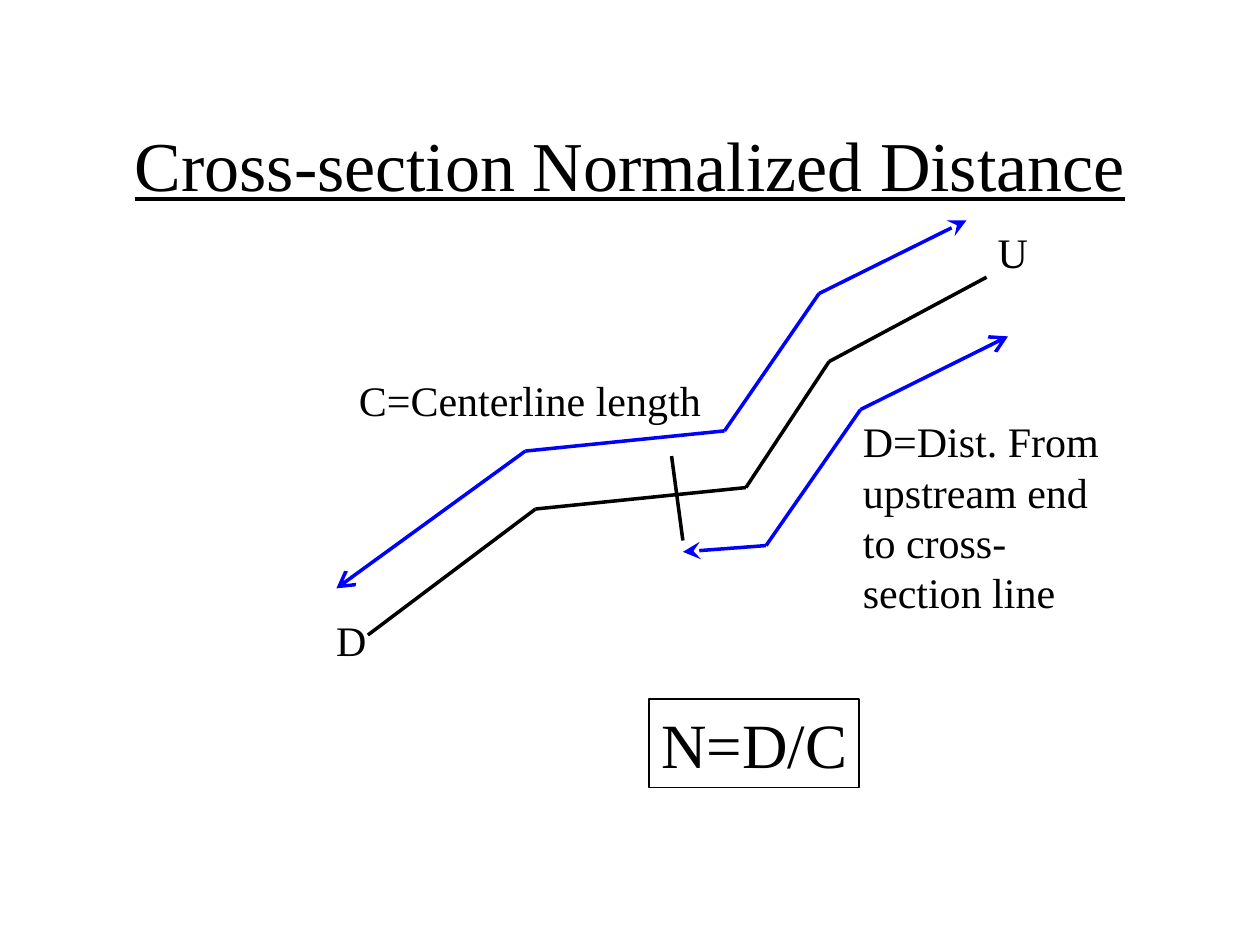
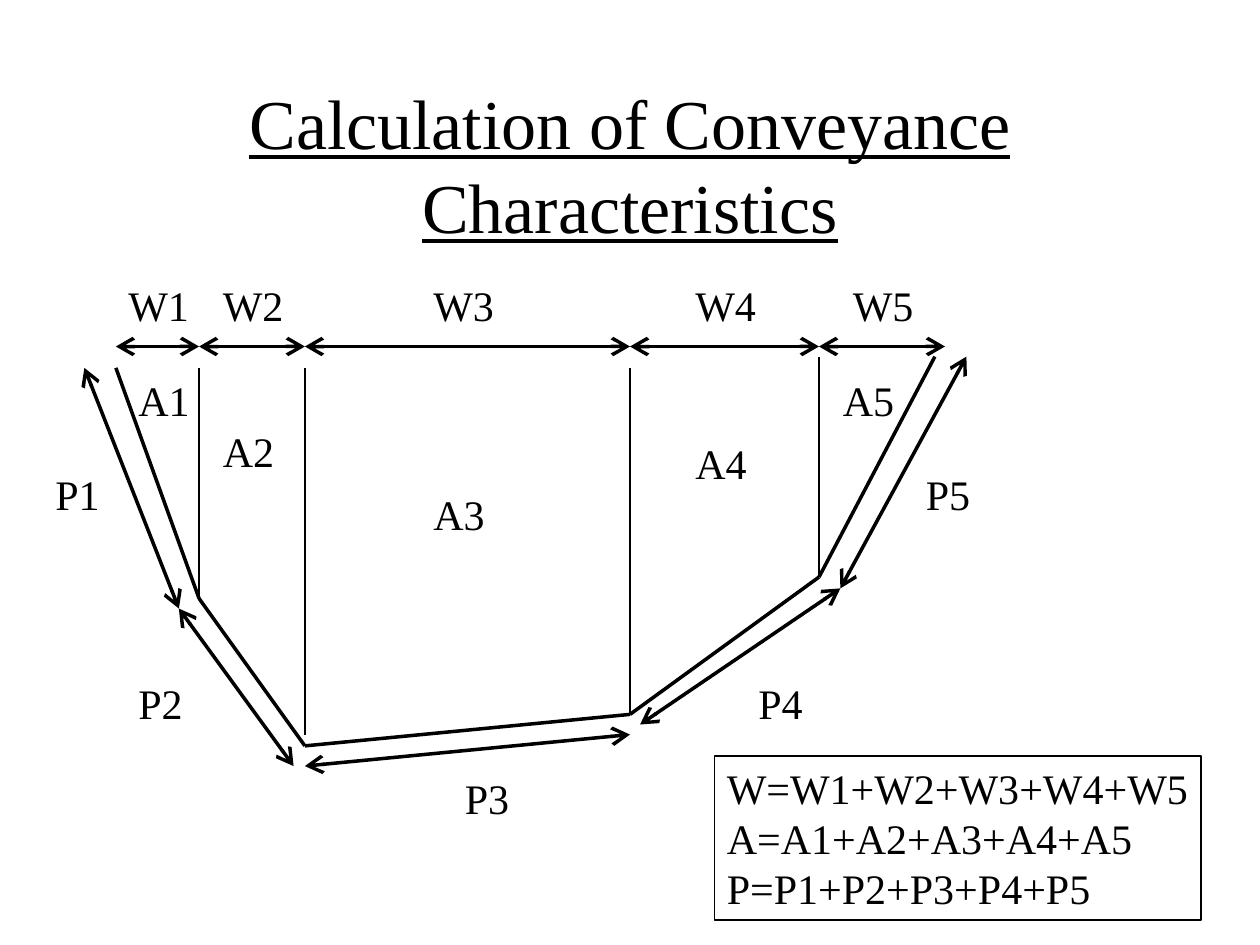
from dataclasses import dataclass
from itertools import pairwise

from lxml import etree
from pptx import Presentation
from pptx.dml.color import RGBColor
from pptx.enum import shapes, text
from pptx.oxml import ns
from pptx.util import Inches, Pt


@dataclass(frozen=True)
class Theme:
    face: str = "Times New Roman"
    ink: RGBColor = RGBColor(0, 0, 0)
    blue: RGBColor = RGBColor(0, 0, 255)
    head: int = 40
    body: int = 24
    large: int = 36
    lead: float = 1.2
    thin: int = 1
    bold: int = 2


THEME = Theme()


@dataclass(frozen=True)
class Box:
    left: float
    top: float
    width: float
    height: float

    def sub(self, left, top, width, height):
        """Return a box whose corner is measured from this one."""
        return Box(self.left + left, self.top + top, width, height)

    def point(self, spot):
        return Inches(self.left + spot[0]), Inches(self.top + spot[1])

    def emu(self):
        return [Inches(v) for v in (self.left, self.top, self.width, self.height)]


def style(frame, lines, size, align=text.PP_ALIGN.LEFT, underline=False):
    frame.text = "\n".join(lines)
    for para in frame.paragraphs:
        para.alignment = align
        para.line_spacing = Pt(size * THEME.lead)
        look = {"name": THEME.face, "size": Pt(size), "underline": underline}
        for key, value in look.items():
            setattr(para.font, key, value)
        para.font.color.rgb = THEME.ink


def fit(frame):
    """Fix the text to its box, with some slack on the right."""
    look = {
        "word_wrap": True,
        "auto_size": text.MSO_AUTO_SIZE.NONE,
        "vertical_anchor": text.MSO_ANCHOR.TOP,
        "margin_right": Inches(0.03),
    }
    for key, value in look.items():
        setattr(frame, key, value)


def title(slide, words):
    shape = slide.shapes.title
    edges = Box(0.75, 0.67, 8.5, 1.25).emu()
    for key, value in zip(("left", "top", "width", "height"), edges):
        setattr(shape, key, value)
    frame = shape.text_frame
    frame.auto_size = text.MSO_AUTO_SIZE.NONE
    frame.vertical_anchor = text.MSO_ANCHOR.MIDDLE
    style(frame, [words], THEME.head, text.PP_ALIGN.CENTER, True)


def label(slide, box, *lines):
    frame = slide.shapes.add_textbox(*box.emu()).text_frame
    fit(frame)
    style(frame, lines, THEME.body)


def formula(slide, box, lines, size):
    """Add a framed box of equations."""
    shape = slide.shapes.add_shape(shapes.MSO_SHAPE.RECTANGLE, *box.emu())
    shape.shadow.inherit = False
    shape.fill.background()
    shape.line.color.rgb = THEME.ink
    shape.line.width = Pt(THEME.thin)
    fit(shape.text_frame)
    style(shape.text_frame, lines, size)


def line(slide, box, start, end, color=THEME.ink, width=THEME.bold, head=None, tail=None):
    link = slide.shapes.add_connector(
        shapes.MSO_CONNECTOR.STRAIGHT, *box.point(start), *box.point(end))
    link.line.color.rgb = color
    link.line.width = Pt(width)
    props = link._element.spPr
    stroke = props.find(ns.qn("a:ln"))
    for tag, kind in (("a:headEnd", head), ("a:tailEnd", tail)):
        if kind:
            etree.SubElement(stroke, ns.qn(tag), type=kind, w="lg", len="lg")
    etree.SubElement(props, ns.qn("a:effectLst"))


def chain(slide, box, spots, color=THEME.ink, head=None, tail=None):
    """Join spots with straight lines, with arrowheads at the two ends only."""
    last = len(spots) - 2
    for i, (start, end) in enumerate(pairwise(spots)):
        line(slide, box, start, end, color,
             head=head if i == 0 else None, tail=tail if i == last else None)


def reach(slide, box):
    """Draw the river centerline, its cross-section and both distances."""
    chain(slide, box, [(5.26, 0.45), (4.01, 1.12), (3.35, 2.12), (1.68, 2.29), (0.35, 3.29)])
    line(slide, box, (2.76, 1.87), (2.85, 2.54))
    chain(slide, box, [(5.1, 0), (3.93, 0.58), (3.18, 1.67), (1.6, 1.83), (0.1, 2.92)],
          THEME.blue, "stealth", "arrow")
    chain(slide, box, [(5.43, 0.92), (4.26, 1.5), (3.51, 2.58), (2.85, 2.63)],
          THEME.blue, "arrow", "stealth")
    label(slide, box.sub(5.25, 0, 0.44, 0.5), "U")
    label(slide, box.sub(0, 3.08, 0.44, 0.5), "D")
    label(slide, box.sub(0.18, 1.17, 2.91, 0.5), "C=Centerline length")
    label(slide, box.sub(4.18, 1.5, 2.15, 1.7),
          "D=Dist. From upstream end", "to cross-section line")


def channel(slide, box):
    """Draw the bed, its five panels, and their widths and perimeters."""
    bed = [(0.59, 0.75), (1.25, 2.58), (2.09, 3.75), (4.67, 3.5), (6.17, 2.41), (7.09, 0.66)]
    chain(slide, box, bed)
    feet = [2.58, 3.66, 3.5, 2.41]
    tops = [0.75, 0.75, 0.75, 0.66]
    for (x, _), foot, top in zip(bed[1:-1], feet, tops):
        line(slide, box, (x, foot), (x, top), width=THEME.thin)

    marks = [x for x, _ in bed[:-1]] + [7.17]
    spans = [((a, 0.58), (b, 0.58)) for a, b in pairwise(marks)]
    sides = [
        ((0.34, 0.75), (1.09, 2.66)),
        ((1.09, 2.66), (2, 3.91)),
        ((2.09, 3.91), (4.67, 3.66)),
        ((4.75, 3.58), (6.34, 2.5)),
        ((6.34, 2.5), (7.34, 0.66)),
    ]
    for start, end in spans + sides:
        line(slide, box, end, start, head="arrow", tail="arrow")

    names = {
        "W": (0.68, [(0.59, 0), (1.34, 0), (3.01, 0), (5.09, 0), (6.34, 0)]),
        "A": (0.61, [(0.67, 0.75), (1.34, 1.16), (3.01, 1.66), (5.09, 1.25), (6.26, 0.75)]),
        "P": (0.55, [(0.01, 1.5), (0.67, 3.16), (3.26, 3.91), (5.59, 3.16), (6.92, 1.5)]),
    }
    for name, (width, spots) in names.items():
        for i, (x, y) in enumerate(spots, 1):
            label(slide, box.sub(x, y, width, 0.5), f"{name}{i}")


def main():
    deck = Presentation()
    deck.slide_width, deck.slide_height = Inches(10), Inches(7.5)
    layout = deck.slide_layouts.get_by_name("Title Only")

    slide = deck.slides.add_slide(layout)
    title(slide, "Cross-section Normalized Distance")
    reach(slide, Box(2.57, 1.75, 6.46, 3.58))
    formula(slide, Box(5.15, 5.55, 1.67, 0.7), ["N=D/C"], THEME.large)

    slide = deck.slides.add_slide(layout)
    title(slide, "Calculation of Conveyance Characteristics")
    channel(slide, Box(0.33, 2.17, 7.47, 4.41))
    sums = [f"{k}=" + "+".join(f"{k}{i}" for i in range(1, 6)) for k in "WAP"]
    formula(slide, Box(5.67, 6, 3.86, 1.3), sums, THEME.body)

    deck.save("out.pptx")


if __name__ == "__main__":
    main()
